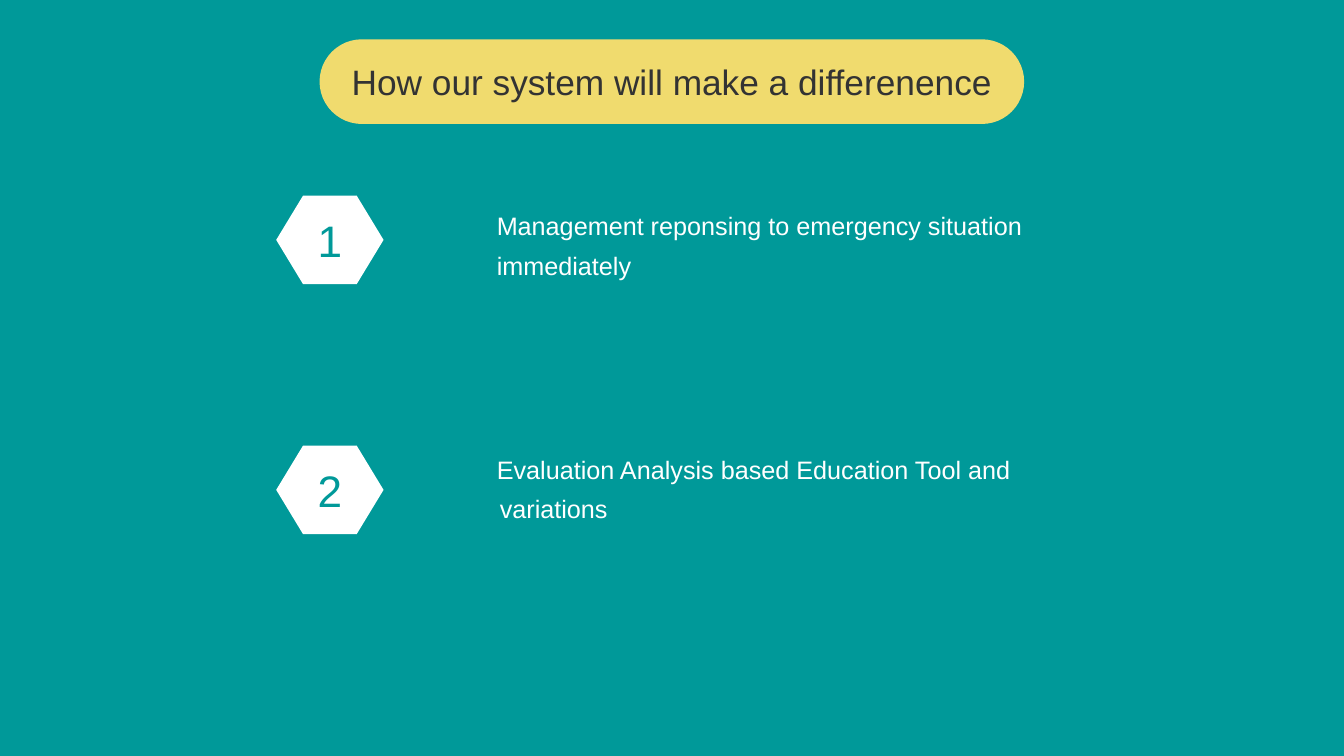
from pptx import Presentation
from pptx.dml.color import RGBColor
from pptx.enum.shapes import MSO_SHAPE as Preset
from pptx.enum.text import MSO_ANCHOR as Anchor, PP_ALIGN as Align
from pptx.util import Pt

TEAL, YELLOW, WHITE, DARK = "009999", "F0DB6E", "FFFFFF", "333333"
BENEFITS = [
    ("Management reponsing to emergency situation immediately", 139.68, 140.4, 0),
    ("Evaluation Analysis based Education Tool and variations", 318.24, 314.64, 2.16),
]


def paint(fill, color):
    """Make a fill solid in a hex colour."""
    fill.solid()
    fill.fore_color.rgb = RGBColor.from_string(color)


def write(shape, text, size, color):
    """Put one wrapped Arial paragraph into a shape and return it."""
    shape.text_frame.word_wrap = True
    para = shape.text_frame.paragraphs[0]
    para.text = text
    para.font.name = "Arial"
    para.font.size = Pt(size)
    paint(para.font.fill, color)
    return para


def add_label(page, preset, place, roundness, fill, text, size, color):
    """Add a flat preset shape with centred text."""
    shape = page.shapes.add_shape(preset, *map(Pt, place))
    shape.adjustments[0] = roundness
    shape.shadow.inherit = False
    paint(shape.fill, fill)
    shape.line.fill.background()
    frame = shape.text_frame
    frame.margin_left = frame.margin_right = 0
    frame.vertical_anchor = Anchor.MIDDLE
    write(shape, text, size, color).alignment = Align.CENTER


def add_benefit(page, text, top, hanging):
    """Add a benefit's text with an optional hanging indent."""
    box = page.shapes.add_textbox(Pt(347.76), Pt(top), Pt(454.32), Pt(154.08))
    para = write(box, text, 18, WHITE)
    para.line_spacing = 1.3
    para.space_before = Pt(3.6)
    if hanging:
        properties = para._p.get_or_add_pPr()
        properties.set("marL", str(Pt(hanging)))
        properties.set("indent", str(-Pt(hanging)))


def main():
    """Build the slide and save it."""
    deck = Presentation()
    deck.slide_width, deck.slide_height = Pt(960), Pt(540)
    page = deck.slides.add_slide(deck.slide_layouts[6])
    paint(page.background.fill, TEAL)

    add_label(page, Preset.ROUNDED_RECTANGLE, (228.24, 28.08, 503.28, 60.48), 0.5,
              YELLOW, "How our system will make a differenence", 25.2, DARK)
    for number, (text, badge_top, text_top, hanging) in enumerate(BENEFITS, 1):
        add_label(page, Preset.HEXAGON, (197.28, badge_top, 76.68, 63.36), 0.303,
                  WHITE, str(number), 31.5, TEAL)
        add_benefit(page, text, text_top, hanging)
    deck.save("out.pptx")


if __name__ == "__main__":
    main()
